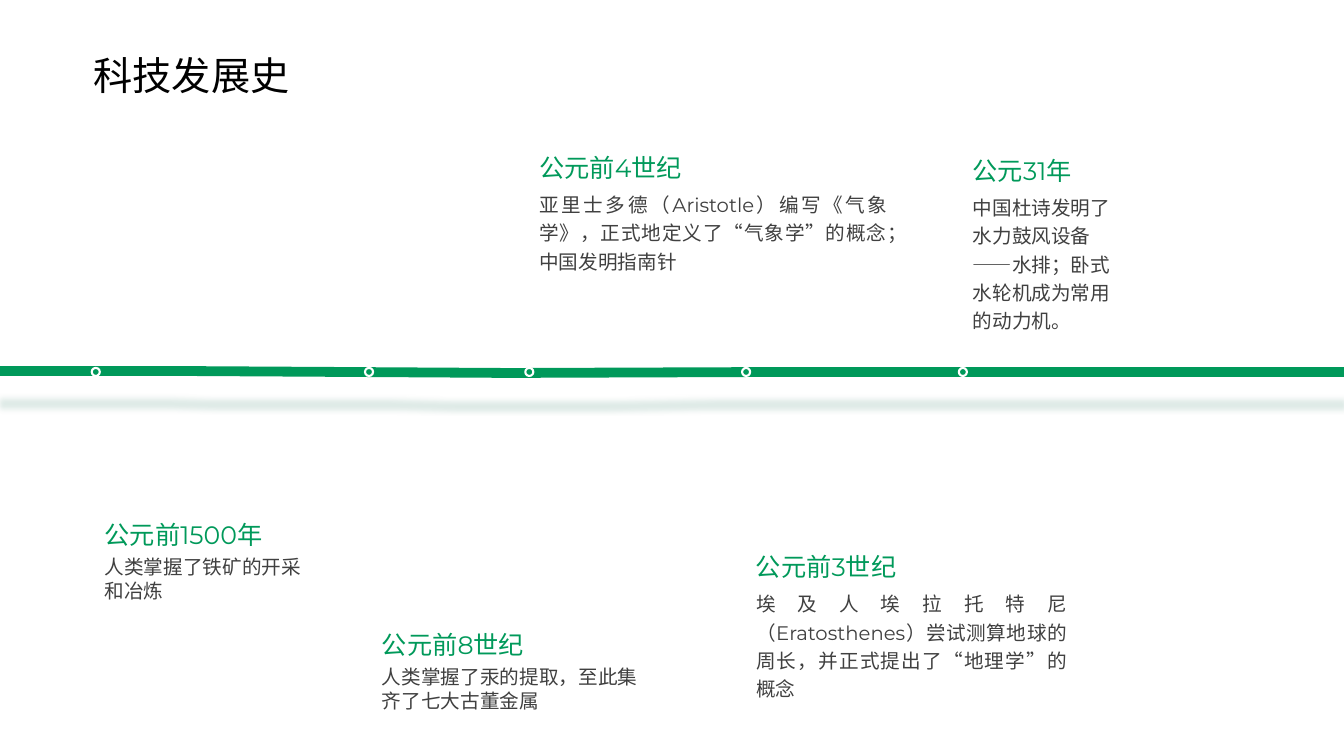
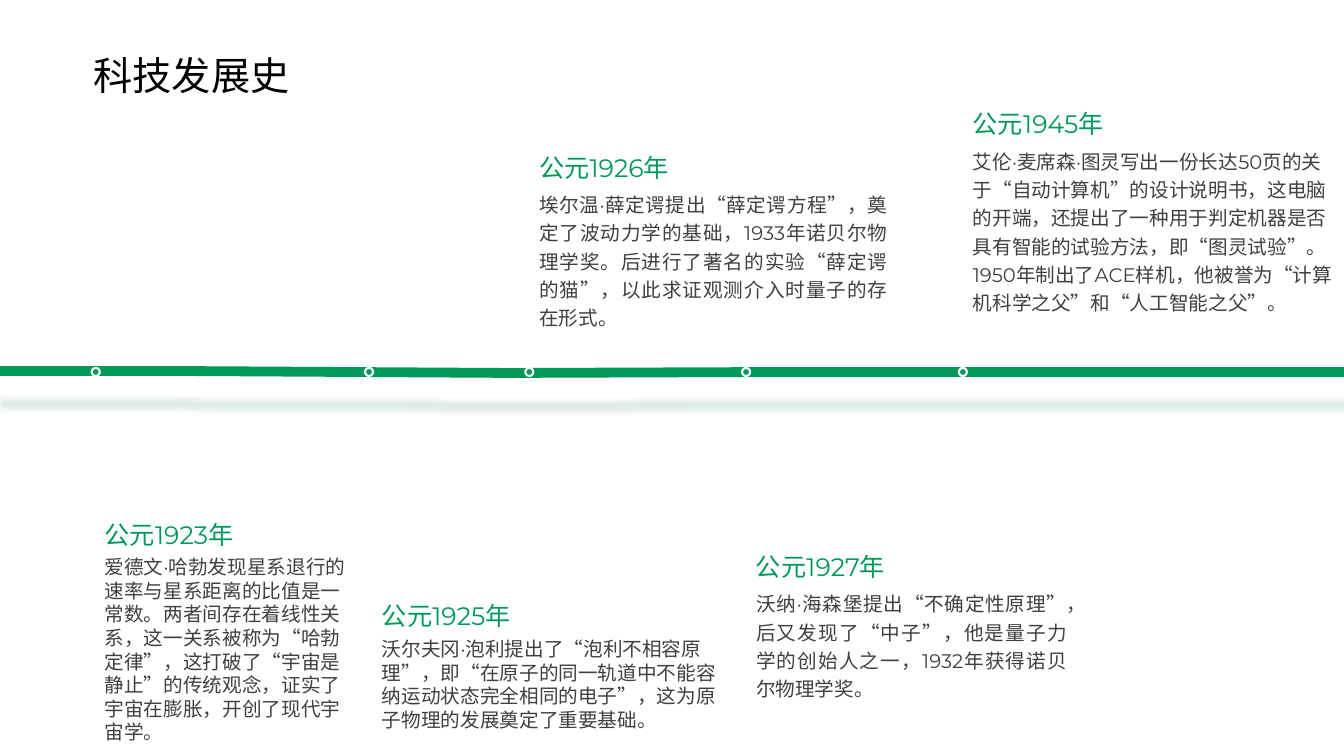
import pptx
import pptx.util
import pptx.dml.color
import pptx.enum.lang
import pptx.enum.shapes
import pptx.enum.text
from lxml import etree

RGB = pptx.dml.color.RGBColor
GREEN = RGB(0x00, 0x99, 0x5A)
SHADE = RGB(0x01, 0x61, 0x45)
GREY = RGB(0x40, 0x40, 0x40)
BLACK = RGB(0, 0, 0)
WHITE = RGB(255, 255, 255)
LATIN, HAN = "Montserrat", "Noto Sans CJK SC"
NS = "http://schemas.openxmlformats.org/drawingml/2006/main"
ALIGN = pptx.enum.text.PP_ALIGN
PX = 9144  # 100 px to the inch
WIDE, HIGH = 1333, 750
GAP = 36  # from a date down to its text
DOT = 8

TITLE = "科技发展史"
AXIS = [(0, 368), (168, 368), (336, 369), (506, 370), (786, 369), (WIDE, 369)]

# dot centre, text left, alignment, line spacing
COLS = [
    (95, 94, ALIGN.LEFT, 1.0),
    (366, 369, ALIGN.LEFT, 1.0),
    (525, 525, ALIGN.JUSTIFY, 1.2),
    (740, 740, ALIGN.JUSTIFY, 1.2),
    (955, 955, ALIGN.LEFT, 1.2),
]

# per slide, one event a column: top, text width, text height, date, text
PAGES = [
    [
        (510, 216, 57, "公元前1500年", "人类掌握了铁矿的开采和冶炼"),
        (619, 285, 57, "公元前8世纪", "人类掌握了汞的提取，至此集齐了七大古董金属"),
        (146, 365, 93, "公元前4世纪",
         "亚里士多德（Aristotle）编写《气象学》，正式地定义了“气象学”的概念；"
         "中国发明指南针"),
        (542, 328, 121, "公元前3世纪",
         "埃及人埃拉托特尼（Eratosthenes）尝试测算地球的周长，"
         "并正式提出了“地理学”的概念"),
        (149, 163, 150, "公元31年",
         "中国杜诗发明了水力鼓风设备——水排；卧式水轮机成为常用的动力机。"),
    ],
    [
        (510, 267, 199, "公元1923年",
         "爱德文·哈勃发现星系退行的速率与星系距离的比值是一常数。"
         "两者间存在着线性关系，这一关系被称为“哈勃定律”，"
         "这打破了“宇宙是静止”的传统观念，证实了宇宙在膨胀，开创了现代宇宙学。"),
        (591, 366, 104, "公元1925年",
         "沃尔夫冈·泡利提出了“泡利不相容原理”，"
         "即“在原子的同一轨道中不能容纳运动状态完全相同的电子”，"
         "这为原子物理的发展奠定了重要基础。"),
        (146, 365, 150, "公元1926年",
         "埃尔温·薛定谔提出“薛定谔方程”，奠定了波动力学的基础，"
         "1933年诺贝尔物理学奖。后进行了著名的实验“薛定谔的猫”，"
         "以此求证观测介入时量子的存在形式。"),
        (542, 328, 121, "公元1927年",
         "沃纳·海森堡提出“不确定性原理”，后又发现了“中子”，"
         "他是量子力学的创始人之一，1932年获得诺贝尔物理学奖。"),
        (103, 378, 178, "公元1945年",
         "艾伦·麦席森·图灵写出一份长达50页的关于“自动计算机”的设计说明书，"
         "这电脑的开端，还提出了一种用于判定机器是否具有智能的试验方法，"
         "即“图灵试验”。1950年制出了ACE样机，"
         "他被誉为“计算机科学之父”和“人工智能之父”。"),
    ],
]


def px(*nums):
    return [pptx.util.Emu(n * PX) for n in nums]


def add_text(slide, text, box, size=14, color=GREY, font=LATIN,
             align=ALIGN.LEFT, lead=1.0):
    frame = slide.shapes.add_textbox(*px(*box)).text_frame
    frame.word_wrap = True
    para = frame.paragraphs[0]
    para.alignment = align
    para.line_spacing = lead
    run = para.add_run()
    run.text = text
    run.font.size = pptx.util.Pt(size)
    run.font.color.rgb = color
    run.font.name = font
    run.font.language_id = pptx.enum.lang.MSO_LANGUAGE_ID.SIMPLIFIED_CHINESE
    etree.SubElement(run.font._element, f"{{{NS}}}ea", typeface=HAN)


def add_axis(slide):
    """Draw the green time line with its soft shadow below."""
    pen = slide.shapes.build_freeform(*AXIS[0], scale=PX)
    pen.add_line_segments(AXIS[1:], close=False)
    axis = pen.convert_to_shape()
    axis.fill.background()
    axis.line.color.rgb = GREEN
    axis.line.width = pptx.util.Pt(7)
    axis.shadow.inherit = False
    glow = etree.SubElement(
        axis._element.spPr.find(f"{{{NS}}}effectLst"), f"{{{NS}}}outerShdw",
        blurRad=str(pptx.util.Pt(4)), dist=str(pptx.util.Pt(23)),
        dir="5400000", algn="t", rotWithShape="0")
    tint = etree.SubElement(glow, f"{{{NS}}}srgbClr", val=str(SHADE))
    etree.SubElement(tint, f"{{{NS}}}alpha", val="12000")


def add_dot(slide, mid):
    dot = slide.shapes.add_shape(
        pptx.enum.shapes.MSO_SHAPE.OVAL, *px(mid - DOT // 2, 365, DOT, DOT))
    dot.shadow.inherit = False
    dot.fill.solid()
    dot.fill.fore_color.rgb = GREEN
    dot.line.color.rgb = WHITE
    dot.line.width = pptx.util.Pt(1.5)


def add_page(deck, events):
    slide = deck.slides.add_slide(deck.slide_layouts[6])
    add_axis(slide)
    for (mid, left, align, lead), event in zip(COLS, events):
        top, wide, high, date, text = event
        add_text(slide, date, (left, top, 230, 40), size=18, color=GREEN)
        add_text(slide, text, (left, top + GAP, wide, high),
                 align=align, lead=lead)
        add_dot(slide, mid)
    add_text(slide, TITLE, (83, 46, 643, 57), size=28, color=BLACK, font=HAN)


def main():
    deck = pptx.Presentation()
    deck.slide_width, deck.slide_height = px(WIDE, HIGH)
    for events in PAGES:
        add_page(deck, events)
    deck.save("out.pptx")


if __name__ == "__main__":
    main()
